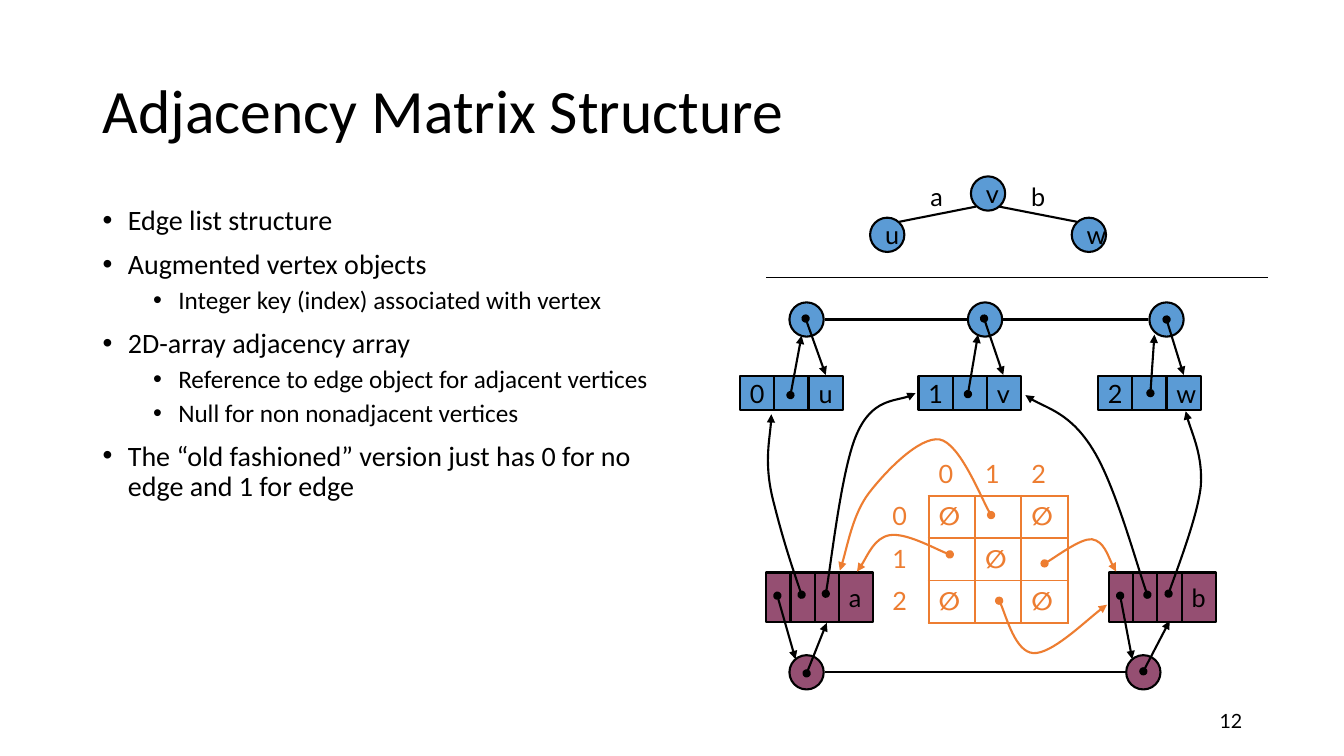
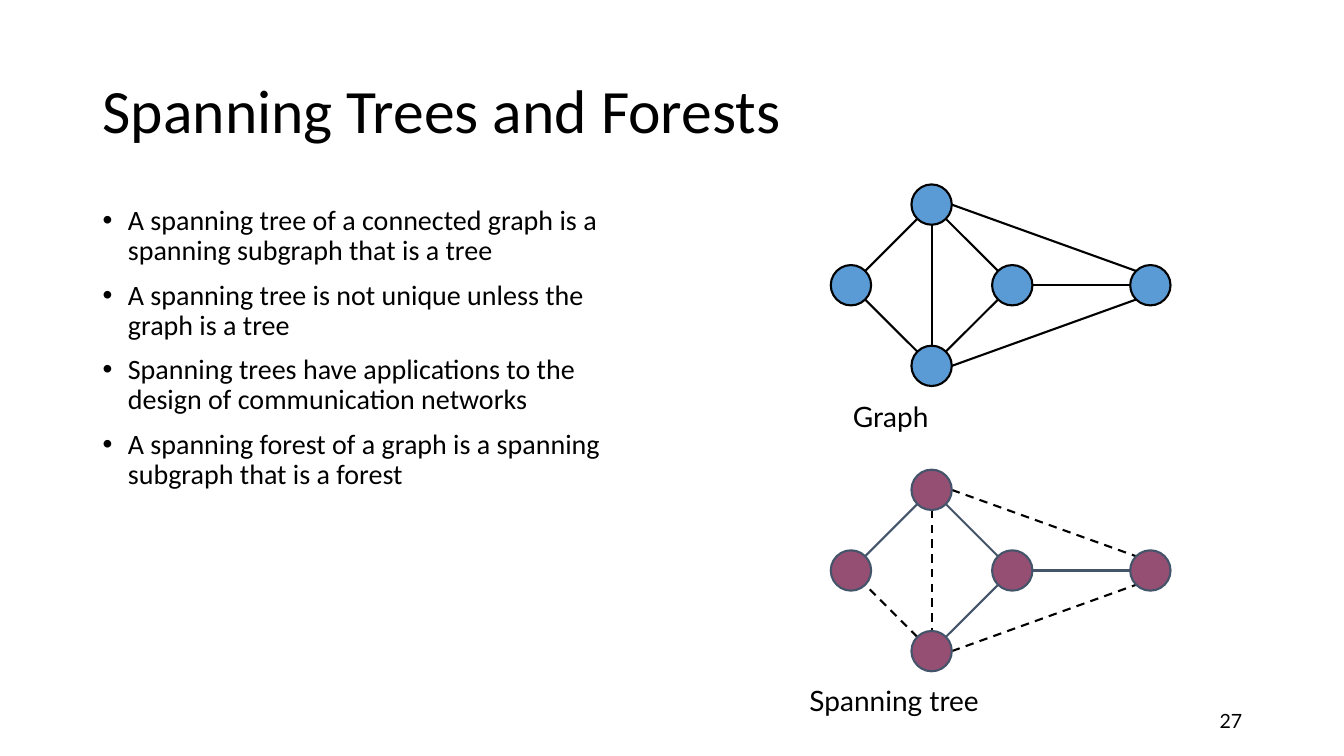
from dataclasses import dataclass
from math import cos, radians, sin

from lxml import etree
from pptx import Presentation
from pptx import util as u
from pptx.dml.color import RGBColor
from pptx.enum import dml, shapes, text
from pptx.oxml.ns import qn


@dataclass(frozen=True)
class Theme:
    ink: str = "000000"
    blue: str = "5B9BD5"
    plum: str = "954F72"
    slate: str = "44546A"
    orange: str = "ED7D31"
    head: str = "Calibri"
    plain: str = "Lato"
    title: int = 44
    body: int = 20
    sub: int = 18
    small: int = 14
    line: float = 1.5
    thin: float = 0.75


T = Theme()
OVAL = shapes.MSO_SHAPE.OVAL
RECT = shapes.MSO_SHAPE.RECTANGLE
RIGHT = text.PP_ALIGN.RIGHT


def rgb(tone):
    return RGBColor.from_string(tone)


class Deck:
    def __init__(self):
        self.prs = Presentation()
        self.prs.slide_width = u.Inches(13.33)
        self.prs.slide_height = u.Inches(7.5)
        self.slide = None

    def page(self, title, items, number):
        self.slide = self.prs.slides.add_slide(self.prs.slide_layouts[6])
        self.label(title, 0.92, 0.4, 11.5, 1.45, T.title, T.head, mid=True, gap=0.9)
        self.bullets(items)
        self.label(str(number), 9.42, 6.95, 3, 0.4, T.small, mid=True, align=RIGHT)

    def style(self, para, size, font=T.plain, tone=T.ink, bold=False):
        for run in para.runs:
            run.font.size = u.Pt(size)
            run.font.name = font
            run.font.bold = bold
            run.font.color.rgb = rgb(tone)

    def label(self, words, x, y, w, h, size, font=T.plain, mid=False,
              wrap=True, align=None, gap=None):
        box = self.slide.shapes.add_textbox(*map(u.Inches, (x, y, w, h)))
        frame = box.text_frame
        frame.text = words
        frame.word_wrap = wrap
        if mid:
            frame.vertical_anchor = text.MSO_ANCHOR.MIDDLE
        para = frame.paragraphs[0]
        para.alignment = align
        para.line_spacing = gap
        self.style(para, size, font)

    def bullets(self, items):
        box = self.slide.shapes.add_textbox(*map(u.Inches, (0.92, 2, 5.67, 4.76)))
        frame = box.text_frame
        frame.word_wrap = True
        for i, (level, words) in enumerate(items):
            para = frame.add_paragraph() if i else frame.paragraphs[0]
            para.text = words
            para.level = level
            para.line_spacing = 0.9
            if i:
                para.space_before = u.Pt(5 if level else 10)
            props = para._p.get_or_add_pPr()
            props.set("marL", str(u.Inches(0.25 + 0.5 * level)))
            props.set("indent", str(u.Inches(-0.25)))
            etree.SubElement(props, qn("a:buFont")).set("typeface", "Arial")
            etree.SubElement(props, qn("a:buChar")).set("char", "•")
            self.style(para, T.sub if level else T.body, T.head)

    def shape(self, kind, x, y, w, h, fill, words="", edge=T.ink):
        item = self.slide.shapes.add_shape(kind, *map(u.Inches, (x, y, w, h)))
        item.shadow.inherit = False
        item.fill.solid()
        item.fill.fore_color.rgb = rgb(fill)
        item.line.color.rgb = rgb(edge)
        item.line.width = u.Pt(T.line)
        if words:
            frame = item.text_frame
            frame.text = words
            frame.word_wrap = False
            frame.vertical_anchor = text.MSO_ANCHOR.MIDDLE
            para = frame.paragraphs[0]
            para.alignment = text.PP_ALIGN.LEFT
            self.style(para, T.sub)

    def node(self, x, y, r, fill, words="", edge=T.ink):
        self.shape(OVAL, x - r, y - r, 2 * r, 2 * r, fill, words, edge)

    def stroke(self, item, tone, width=T.line, dash=False, arrow=False):
        item.line.color.rgb = rgb(tone)
        item.line.width = u.Pt(width)
        if dash:
            item.line.dash_style = dml.MSO_LINE.DASH
        props = item._element.spPr
        if arrow:
            ln = props.find(qn("a:ln"))
            etree.SubElement(ln, qn("a:headEnd")).set("type", "oval")
            etree.SubElement(ln, qn("a:tailEnd")).set("type", "triangle")
        etree.SubElement(props, qn("a:effectLst"))

    def line(self, start, end, tone=T.ink, **look):
        item = self.slide.shapes.add_connector(
            shapes.MSO_CONNECTOR.STRAIGHT, *map(u.Inches, (*start, *end)))
        self.stroke(item, tone, **look)

    def curve(self, tone, *points):
        first, *rest = [tuple(map(u.Inches, p)) for p in points]
        pen = self.slide.shapes.build_freeform(*first)
        pen.add_line_segments(rest, close=False)
        item = pen.convert_to_shape()
        item.fill.background()
        route = next(item._element.iter(qn("a:path")))
        steps = route.findall(qn("a:lnTo"))
        for i in range(0, len(steps), 3):
            bend = etree.SubElement(route, qn("a:cubicBezTo"))
            for step in steps[i:i + 3]:
                bend.append(step[0])
                route.remove(step)
        self.stroke(item, tone, arrow=True)

    def border(self, cell, sides):
        props = cell._tc.get_or_add_tcPr()
        for i, side in enumerate("LRTB"):
            ln = etree.Element(qn("a:ln" + side))
            ln.set("w", str(u.Pt(T.line)))
            if side in sides:
                fill = etree.SubElement(ln, qn("a:solidFill"))
                etree.SubElement(fill, qn("a:srgbClr")).set("val", T.orange)
            else:
                etree.SubElement(ln, qn("a:noFill"))
            props.insert(i, ln)

    def matrix(self, rows, x, y, w, h):
        size = len(rows)
        frame = self.slide.shapes.add_table(
            size, size, *map(u.Inches, (x, y, w * size, h * size)))
        grid = frame.table
        grid.first_row = grid.horz_banding = False
        for r, row in enumerate(rows):
            for c, words in enumerate(row):
                cell = grid.cell(r, c)
                cell.text = words
                cell.fill.background()
                self.style(cell.text_frame.paragraphs[0], T.sub,
                           tone=T.orange, bold=words == "∅")
                if r and c:
                    sides = "LRTB"
                else:
                    sides = "B" if c else "R" if r else ""
                self.border(cell, sides)

    def graph(self, dy, fill, edge, dashed=()):
        r = 0.2
        spots = {"top": (9.24, 2.03), "left": (8.44, 2.83), "mid": (10.04, 2.83),
                 "low": (9.24, 3.63), "far": (11.41, 2.83)}
        links = [("top", 135, "left", 315), ("low", 225, "left", 45),
                 ("low", 315, "mid", 135), ("top", 45, "mid", 225),
                 ("top", 90, "low", 270), ("mid", 0, "far", 180),
                 ("low", 0, "far", 135), ("top", 0, "far", 225)]

        def rim(name, turn):
            x, y = spots[name]
            return x + r * cos(radians(turn)), y + dy + r * sin(radians(turn))

        for a, out, b, into in links:
            dash = (a, b) in dashed
            self.line(rim(a, out), rim(b, into), T.ink if dash else edge, dash=dash)
        for x, y in spots.values():
            self.node(x, y + dy, r, fill, edge=edge)


def adjacency(deck):
    deck.page("Adjacency Matrix Structure", [
        (0, "Edge list structure"),
        (0, "Augmented vertex objects"),
        (1, "Integer key (index) associated with vertex"),
        (0, "2D-array adjacency array"),
        (1, "Reference to edge object for adjacent vertices"),
        (1, "Null for non nonadjacent vertices"),
        (0, "The “old fashioned” version just has 0 for no edge and 1 for edge"),
    ], 12)
    r = 0.17
    for x, y, name in [(8.8, 2.33, "u"), (9.8, 1.92, "v"), (10.8, 2.33, "w")]:
        deck.node(x, y, r, T.blue, name)
    for x, end, at, name in [(9.68, 8.92, 9.13, "a"), (9.91, 10.68, 10.13, "b")]:
        deck.line((x, 2.05), (end, 2.2))
        deck.label(name, at, 1.75, 0.34, 0.4, T.sub, wrap=False)
    deck.line((7.6, 2.75), (12.58, 2.75), width=T.thin)
    deck.matrix([["", "0", "1", "2"], ["0", "∅", "", "∅"],
                 ["1", "", "∅", ""], ["2", "∅", "", "∅"]], 8.75, 4.5, 0.46, 0.42)

    deck.line((8.18, 3.17), (11.39, 3.17))
    deck.line((8.18, 6.67), (11.17, 6.67))
    side = 0.34
    for i, (x, hub, name) in enumerate([(7.34, 8, "u"), (9.11, 9.77, "v"),
                                        (10.89, 11.57, "w")]):
        deck.node(hub, 3.17, r, T.blue)
        for k, words in enumerate((str(i), "", name)):
            deck.shape(RECT, x + k * side, 3.73, side, side, T.blue, words)
    slot = 0.24
    for x, hub, name in [(7.6, 8, "a"), (11, 11.34, "b")]:
        deck.node(hub, 6.67, r, T.plum)
        for k in range(3):
            deck.shape(RECT, x + k * slot, 5.68, slot, 0.49, T.plum)
        deck.shape(RECT, x + 3 * slot, 5.68, side, 0.49, T.plum, name)

    for start, end in [
        ((7.99, 3.16), (8.19, 3.72)), ((9.76, 3.16), (9.95, 3.72)),
        ((11.57, 3.17), (11.74, 3.72)), ((7.84, 3.92), (7.95, 3.33)),
        ((9.6, 3.91), (9.7, 3.32)), ((11.41, 3.9), (11.45, 3.32)),
        ((8, 6.68), (8.2, 6.18)), ((11.34, 6.66), (11.6, 6.16)),
        ((7.71, 5.91), (7.89, 6.54)), ((11.11, 5.91), (11.23, 6.54)),
    ]:
        deck.line(start, end, arrow=True)

    deck.curve(T.ink, (8.19, 5.89), (8.24, 5.62), (8.35, 4.63), (8.5, 4.3),
               (8.65, 3.96), (8.96, 3.98), (9.08, 3.9))
    deck.curve(T.ink, (7.95, 5.9), (7.9, 5.75), (7.78, 5.41), (7.68, 5.01),
               (7.57, 4.61), (7.65, 4.3), (7.65, 4.11))
    deck.curve(T.ink, (11.38, 5.9), (11.29, 5.66), (11.06, 4.81), (10.84, 4.46),
               (10.62, 4.1), (10.31, 4.03), (10.17, 3.92))
    deck.curve(T.ink, (11.59, 5.89), (11.65, 5.71), (11.88, 5.12), (11.91, 4.82),
               (11.93, 4.52), (11.79, 4.23), (11.76, 4.08))
    deck.curve(T.orange, (9.42, 5.5), (9.32, 5.47), (8.98, 5.28), (8.82, 5.31),
               (8.67, 5.34), (8.57, 5.59), (8.5, 5.67))
    deck.curve(T.orange, (9.83, 5.11), (9.75, 4.99), (9.52, 4.4), (9.32, 4.36),
               (9.12, 4.33), (8.79, 4.67), (8.62, 4.89),
               (8.46, 5.1), (8.39, 5.5), (8.33, 5.66))
    deck.curve(T.orange, (10.36, 5.59), (10.44, 5.55), (10.72, 5.34), (10.83, 5.35),
               (10.95, 5.37), (11.02, 5.6), (11.07, 5.67))
    deck.curve(T.orange, (9.91, 5.96), (9.96, 6.04), (10.07, 6.47), (10.25, 6.48),
               (10.43, 6.49), (10.83, 6.1), (10.98, 6))


def spanning(deck):
    deck.page("Spanning Trees and Forests", [
        (0, "A spanning tree of a connected graph is a spanning subgraph that is a tree"),
        (0, "A spanning tree is not unique unless the graph is a tree"),
        (0, "Spanning trees have applications to the design of communication networks"),
        (0, "A spanning forest of a graph is a spanning subgraph that is a forest"),
    ], 27)
    deck.graph(0, T.blue, T.ink)
    deck.label("Graph", 8.36, 3.91, 3.12, 0.43, T.body)
    deck.graph(2.83, T.plum, T.slate, {("low", "left"), ("top", "low"),
                                       ("low", "far"), ("top", "far")})
    deck.label("Spanning tree", 7.93, 6.73, 3.99, 0.43, T.body)


def main():
    deck = Deck()
    adjacency(deck)
    spanning(deck)
    deck.prs.save("out.pptx")


if __name__ == "__main__":
    main()
